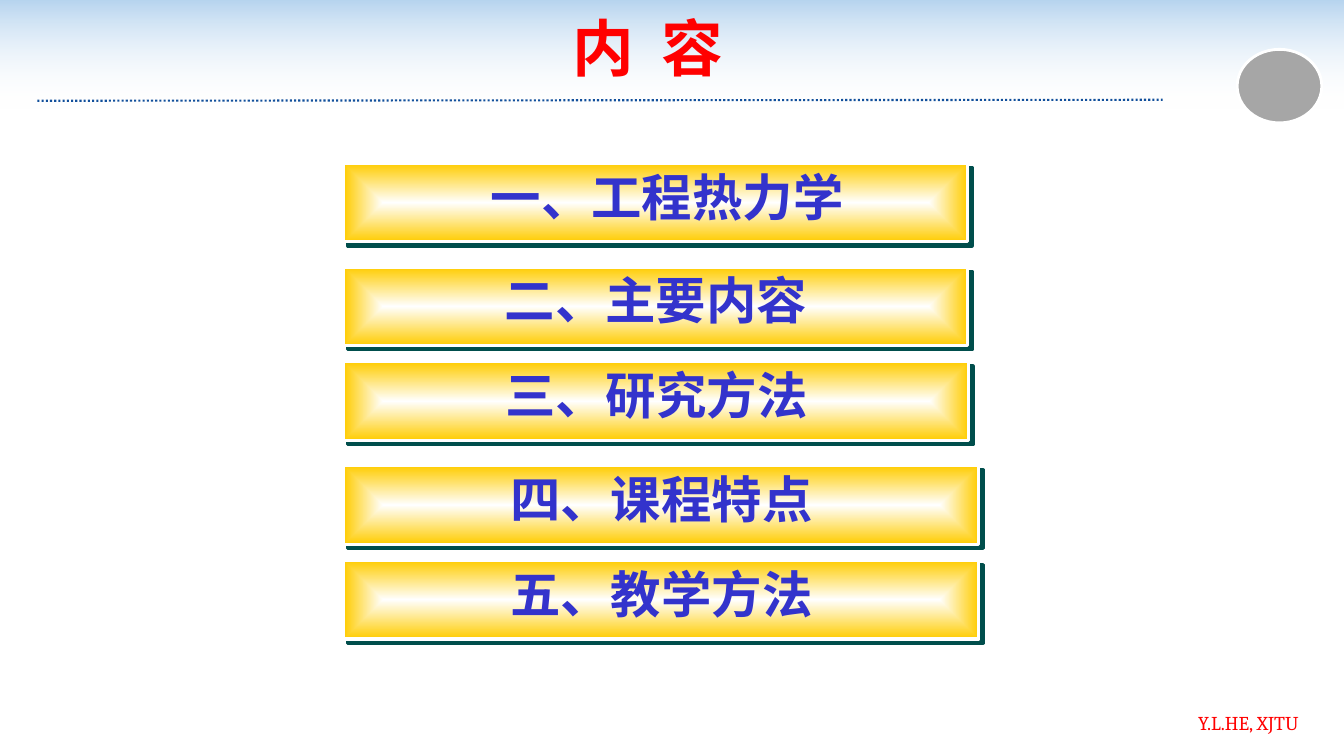
from lxml.etree import SubElement
from pptx import Presentation
from pptx.dml.color import RGBColor
from pptx.enum.dml import MSO_LINE
from pptx.enum.shapes import MSO_CONNECTOR, MSO_SHAPE
from pptx.enum.text import MSO_ANCHOR, PP_ALIGN
from pptx.oxml.ns import qn
from pptx.util import Inches, Pt

RED = RGBColor(0xFF, 0x00, 0x00)
WHITE = RGBColor(0xFF, 0xFF, 0xFF)
SKY = RGBColor(0x47, 0x92, 0xD7)
NAVY = RGBColor(0x11, 0x4F, 0x9B)
GREY = RGBColor(0xA6, 0xA6, 0xA6)
GOLD = RGBColor(0xFF, 0xCC, 0x00)
INDIGO = RGBColor(0x33, 0x33, 0xCC)
TEAL = RGBColor(0x00, 0x4E, 0x4C)
SERIF, SANS = "Cambria", "Noto Sans CJK SC"

deck = Presentation()
deck.slide_width, deck.slide_height = Inches(13.33), Inches(7.5)
slide = deck.slides.add_slide(deck.slide_layouts[6])
shapes = slide.shapes


def grid(x, y, w, h):
    """Turn percentages of the slide's width and height into lengths."""
    col, row = deck.slide_width / 100, deck.slide_height / 100
    return int(x * col), int(y * row), int(w * col), int(h * row)


def write(shape, text, size, color, font=SERIF, bold=False, align=PP_ALIGN.CENTER,
          inset=(0.1, 0.05, 0.1, 0.05), space=0):
    """Fill a shape with one line; inset is left, top, right, bottom in inches."""
    frame = shape.text_frame
    frame.word_wrap = True
    frame.vertical_anchor = MSO_ANCHOR.MIDDLE
    (frame.margin_left, frame.margin_top,
     frame.margin_right, frame.margin_bottom) = map(Inches, inset)
    line = frame.paragraphs[0]
    line.alignment = align
    run = line.add_run()
    run.text = text
    run.font.name, run.font.size, run.font.bold = font, Pt(size), bold
    run.font.color.rgb = color
    props = run.font._element
    SubElement(props, qn("a:ea"), typeface=SANS)
    if space:
        props.set("spc", str(int(space * 100)))


# Header band, rule and badge
band = shapes.add_shape(MSO_SHAPE.RECTANGLE, *grid(0, 0, 100, 14.4))
band.shadow.inherit = False
band.line.fill.background()
band.fill.gradient()
band.fill.gradient_angle = 270
for stop, color, alpha in zip(band.fill.gradient_stops, (SKY, WHITE), (40, 0)):
    stop.color.rgb = color
    tint = stop._element.find(qn("a:srgbClr"))
    SubElement(tint, qn("a:alpha"), val=str(alpha * 1000))

rule = shapes.add_connector(MSO_CONNECTOR.STRAIGHT, *grid(2.78, 13.33, 86.5, 13.2))
rule.line.color.rgb = NAVY
rule.line.width = Pt(1.5)
rule.line.dash_style = MSO_LINE.ROUND_DOT
SubElement(rule._element.spPr, qn("a:effectLst"))

badge = shapes.add_shape(MSO_SHAPE.OVAL, *grid(92.05, 6.53, 6.3, 9.73))
badge.shadow.inherit = False
badge.fill.solid()
badge.fill.fore_color.rgb = GREY
badge.line.color.rgb = WHITE
badge.line.width = Pt(2)

title = shapes.add_textbox(*grid(5.7, 1.2, 85, 10))
write(title, "内 容", 44, RED, bold=True, space=4.8)

# Chapter bars: text, top, width, extra left inset
bars = [
    ("一、工程热力学", 21.6, 46.44, 0.22),
    ("二、主要内容", 35.33, 46.44, 0),
    ("三、研究方法", 47.87, 46.51, 0),
    ("四、课程特点", 61.6, 47.26, 0),
    ("五、教学方法", 74.13, 47.26, 0),
]
for text, top, width, shift in bars:
    bar = shapes.add_shape(MSO_SHAPE.RECTANGLE, *grid(25.58, top, width, 10.4))
    bar.line.color.rgb = WHITE
    bar.line.width = Pt(2.25)

    bar.fill.gradient()
    for stop, color in zip(bar.fill.gradient_stops, (WHITE, GOLD)):
        stop.color.rgb = color
    props = bar._element.spPr
    grad = props.find(qn("a:gradFill"))
    grad.remove(grad.find(qn("a:lin")))
    shade = SubElement(grad, qn("a:path"), path="shape")
    SubElement(shade, qn("a:fillToRect"), dict.fromkeys("ltrb", "50000"))

    bar.shadow.inherit = False
    cast = SubElement(props.find(qn("a:effectLst")), qn("a:outerShdw"),
                      dist=str(Pt(4.2)), dir="2700000", algn="ctr", rotWithShape="0")
    SubElement(cast, qn("a:srgbClr"), val=str(TEAL))

    write(bar, text, 36, INDIGO, font=SANS, bold=True,
          inset=(0.1 + shift, 0.05, 0.1, 0.18))

credit = shapes.add_textbox(*grid(82.52, 93.33, 14.93, 4.53))
write(credit, "Y.L.HE, XJTU", 14, RED, align=PP_ALIGN.RIGHT,
      inset=(0.11, 0.06, 0.11, 0.06))

deck.save("out.pptx")
